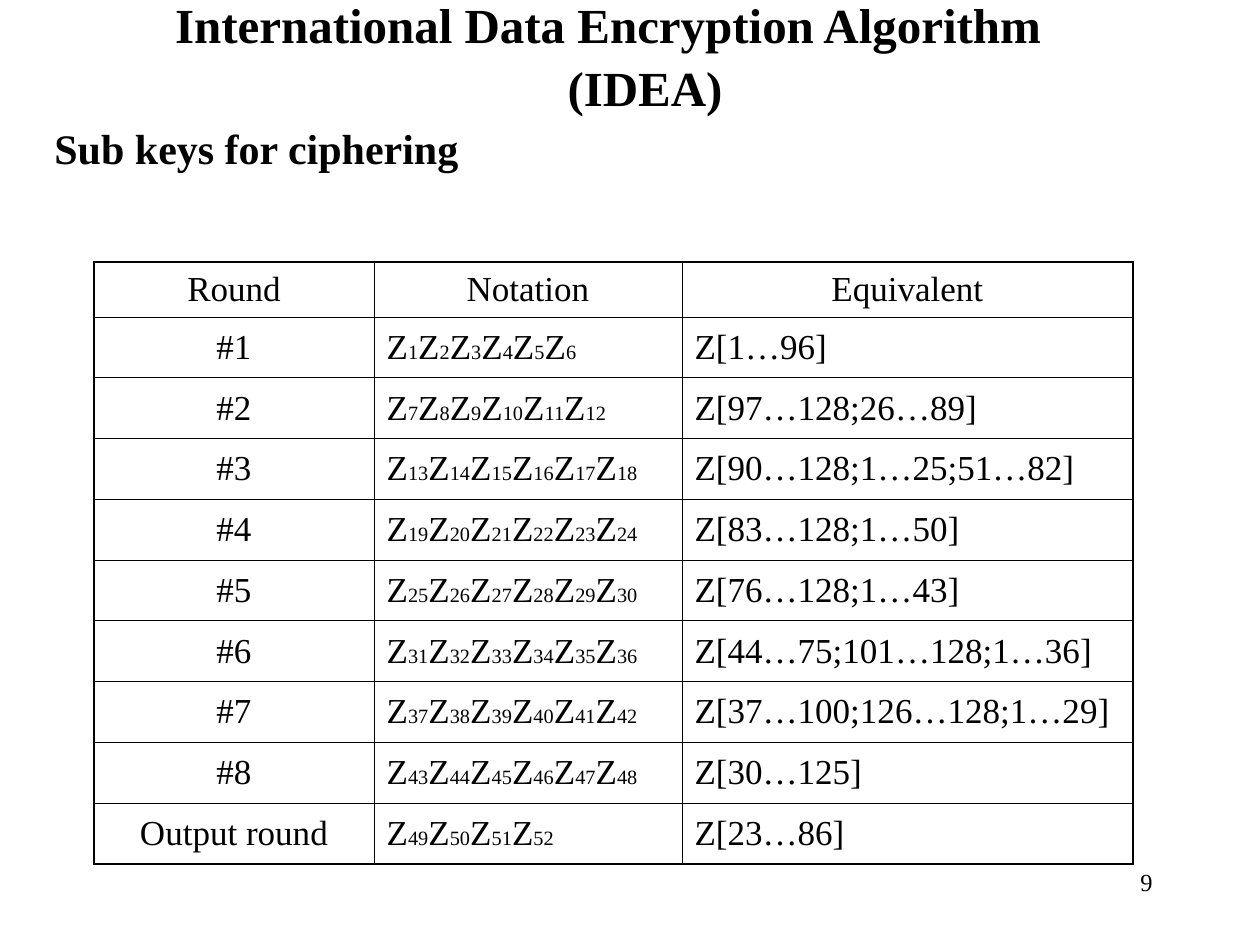
from lxml import etree
from pptx import Presentation
from pptx import util as u
from pptx.dml.color import RGBColor
from pptx.enum import text
from pptx.oxml.ns import qn

SCALE = 914400 / 126
FONT = "Times New Roman"
BLACK = "000000"
CENTER, LEFT, RIGHT = text.PP_ALIGN.CENTER, text.PP_ALIGN.LEFT, text.PP_ALIGN.RIGHT
HEADERS = ["Round", "Notation", "Equivalent"]
EQUIVALENTS = [
    "Z[1…96]", "Z[97…128;26…89]", "Z[90…128;1…25;51…82]",
    "Z[83…128;1…50]", "Z[76…128;1…43]", "Z[44…75;101…128;1…36]",
    "Z[37…100;126…128;1…29]", "Z[30…125]", "Z[23…86]",
]


def px(n):
    return u.Emu(round(n * SCALE))


def color(value):
    return RGBColor.from_string(value)


def add_run(p, content, size, bold=False, baseline=0):
    r = p.add_run()
    r.text = content
    r.font.name = FONT
    r.font.size = u.Pt(size)
    r.font.bold = bold
    r.font.color.rgb = color(BLACK)
    if baseline:
        r.font._element.set("baseline", str(baseline))


def add_box(s, box):
    tf = s.shapes.add_textbox(*map(px, box)).text_frame
    tf.word_wrap = True
    return tf


def add_title(s, box):
    tf = add_box(s, box)
    tf.margin_left, tf.margin_right = 0, px(98)
    for i, (line, indent) in enumerate(
        [("International Data Encryption Algorithm", 0), ("(IDEA)", 74)]
    ):
        p = tf.add_paragraph() if i else tf.paragraphs[0]
        p.alignment = CENTER
        p.line_spacing = 0.8
        p.space_before = u.Pt(8.8)
        p._p.get_or_add_pPr().set("marL", str(px(indent)))
        add_run(p, line, 28, True)


def add_label(s, box, content, size, align, bold=False, before=0):
    p = add_box(s, box).paragraphs[0]
    p.alignment = align
    p.space_before = u.Pt(before)
    add_run(p, content, size, bold)


def set_border(cell, side, width):
    ln = etree.SubElement(cell._tc.get_or_add_tcPr(), qn(f"a:ln{side}"), w=str(u.Pt(width)))
    fill = etree.SubElement(ln, qn("a:solidFill"))
    etree.SubElement(fill, qn("a:srgbClr"), val=BLACK)


def style_cell(cell, edges):
    cell.vertical_anchor = text.MSO_ANCHOR.MIDDLE
    for side, outer in edges.items():
        set_border(cell, side, 1.08 if outer else 0.45)
    cell.fill.background()


def subkey_runs(i):
    first = 6 * i + 1
    for n in range(first, min(first + 6, 53)):
        yield "Z", 0
        yield str(n), -25


def table_rows():
    yield [[(h, 0)] for h in HEADERS]
    for i, equivalent in enumerate(EQUIVALENTS):
        name = f"#{i + 1}" if i < 8 else "Output round"
        yield [[(name, 0)], subkey_runs(i), [(equivalent, 0)]]


def add_subkey_table(s, box, widths, header_height):
    rows = list(table_rows())
    last_row, last_col = len(rows) - 1, len(widths) - 1
    table = s.shapes.add_table(len(rows), len(widths), *map(px, box)).table
    table.first_row = table.horz_banding = False
    for column, width in zip(table.columns, widths):
        column.width = px(width)
    row_height = (box[3] - header_height) / last_row
    for i, row in enumerate(rows):
        table.rows[i].height = px(row_height if i else header_height)
        for j, runs in enumerate(row):
            cell = table.cell(i, j)
            style_cell(cell, {"L": j == 0, "R": j == last_col,
                              "T": i == 0, "B": i == last_row})
            p = cell.text_frame.paragraphs[0]
            p.alignment = CENTER if i == 0 or j == 0 else LEFT
            p.space_before = u.Pt(5)
            for content, baseline in runs:
                add_run(p, content, 20, baseline=baseline)


def main():
    prs = Presentation()
    prs.slide_width, prs.slide_height = px(1260), px(945)
    s = prs.slides.add_slide(prs.slide_layouts[6])
    add_label(s, (903, 861, 262, 63), "9", 14, RIGHT)
    add_title(s, (161, 0, 992, 122))
    add_label(s, (42, 116, 441, 63), "Sub keys for ciphering", 24, LEFT, True, 15)
    add_subkey_table(s, (94, 262, 1039, 602), (280, 308, 451), 55)
    prs.save("out.pptx")


if __name__ == "__main__":
    main()
